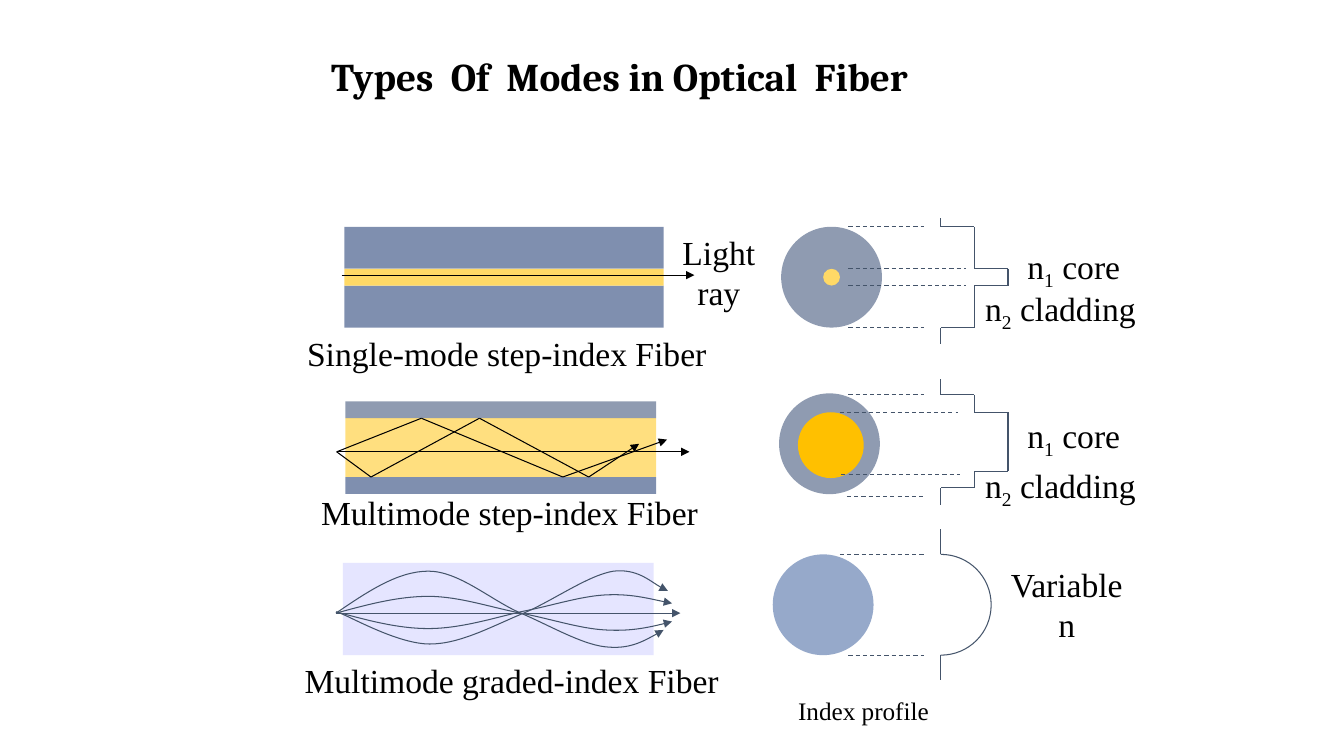
from itertools import pairwise

from lxml import etree
from pptx import Presentation
from pptx import util as u
from pptx.dml import color
from pptx.enum import dml, shapes, text
from pptx.oxml import ns

THEME = {
    "ink": "000000", "outline": "44546A", "navy": "002060", "slate": "203864",
    "blue": "2F5597", "gold": "FFC000", "sand": "FFD966", "lilac": "CCCCFF",
    "title_font": "Cambria", "body_font": "Times New Roman",
    "title": 28, "body": 24, "caption": 18, "stroke": 0.75,
}

presentation = Presentation()
presentation.slide_width, presentation.slide_height = u.Pt(960), u.Pt(540)
slide = presentation.slides.add_slide(presentation.slide_layouts[6])


def style_line(shape, ink, arrow=False, dashed=False):
    shape.line.color.rgb = color.RGBColor.from_string(THEME[ink])
    shape.line.width = u.Pt(THEME["stroke"])
    if dashed:
        shape.line.dash_style = dml.MSO_LINE.DASH
    if arrow:
        outline = shape._element.spPr.find(ns.qn("a:ln"))
        etree.SubElement(outline, ns.qn("a:tailEnd"), type="triangle")


def connect(start, end, ink, arrow=False, dashed=False):
    ends = [u.Pt(value) for value in (*start, *end)]
    connector = slide.shapes.add_connector(shapes.MSO_CONNECTOR.STRAIGHT, *ends)
    style_line(connector, ink, arrow, dashed)
    etree.SubElement(connector._element.spPr, ns.qn("a:effectLst"))


RECTANGLE, OVAL = shapes.MSO_SHAPE.RECTANGLE, shapes.MSO_SHAPE.OVAL
fiber_parts = [
    (RECTANGLE, 246, 162, 228, 30, "navy", 50),
    (RECTANGLE, 246, 204, 228, 30, "navy", 50),
    (RECTANGLE, 246, 192, 228, 12, "sand", 100),
    (RECTANGLE, 246.75, 298.75, 222, 42, "gold", 50),
    (RECTANGLE, 246.75, 340.75, 222, 12, "navy", 50),
    (RECTANGLE, 246.75, 286.75, 222, 12, "slate", 50),
    (RECTANGLE, 245, 402, 222, 66, "lilac", 50),
    (OVAL, 558, 162, 72, 72, "slate", 50),
    (OVAL, 588, 192, 12, 12, "sand", 100),
    (OVAL, 556.5, 281, 72, 72, "slate", 50),
    (OVAL, 570, 294.5, 47, 47, "gold", 100),
    (OVAL, 552, 396, 72, 72, "blue", 50),
]
for kind, left, top, width, height, fill, opacity in fiber_parts:
    shape = slide.shapes.add_shape(kind, u.Pt(left), u.Pt(top), u.Pt(width), u.Pt(height))
    shape.shadow.inherit = False
    shape.line.fill.background()
    shape.fill.solid()
    shape.fill.fore_color.rgb = color.RGBColor.from_string(THEME[fill])
    if opacity < 100:
        tint = shape._element.spPr.find(".//" + ns.qn("a:srgbClr"))
        etree.SubElement(tint, ns.qn("a:alpha"), val=str(opacity * 1000))

light_rays = [
    ("ink", [(244, 196.5), (496, 196.5)]),
    ("ink", [(240.5, 322.75), (492.5, 322.75)]),
    ("ink", [(240.5, 322.75), (301, 298.75), (402, 340.75), (476.5, 314)]),
    ("ink", [(240.5, 322.75), (265, 340.75), (342.5, 298.75), (420.5, 340.75), (456.5, 317)]),
    ("outline", [(240, 438), (486, 438)]),
]
for ink, points in light_rays:
    for start, end in pairwise(points):
        connect(start, end, ink, arrow=end == points[-1])

AXIS, CLADDING, CORE = 672, 696, 720
step_profiles = [
    (156, 162, 192, 204, 234, 246),
    (271, 282, 294.5, 336.5, 348.5, 361),
]
for start, outer_top, inner_top, inner_bottom, outer_bottom, end in step_profiles:
    points = [
        (AXIS, start), (AXIS, outer_top), (CLADDING, outer_top), (CLADDING, inner_top),
        (CORE, inner_top), (CORE, inner_bottom), (CLADDING, inner_bottom),
        (CLADDING, outer_bottom), (AXIS, outer_bottom), (AXIS, end),
    ]
    for corner, following in pairwise(points):
        connect(corner, following, "outline")
for top in (378, 468):
    connect((AXIS, top), (AXIS, top + 18), "outline")

guides = [
    (606, 660, 162), (606, 660, 234), (606, 690, 192), (606, 690, 204),
    (606, 660, 281.5), (605, 660, 354.5), (600, 684, 294.5), (601, 685.5, 339),
    (600, 660, 396), (606, 660, 468),
]
for left, right, level in guides:
    connect((left, level), (right, level), "outline", dashed=True)

curves = [
    (True, [(240, 438), (262, 432), (284, 426), (306, 426), (328, 426), (351, 434), (372, 438),
            (393, 442), (414, 449), (432, 450), (450, 451), (465, 448), (480, 444)]),
    (True, [(240, 437), (262, 443), (284, 449), (306, 449), (328, 449), (351, 442), (372, 437),
            (393, 433), (414, 426), (432, 425), (450, 424), (465, 428), (480, 431)]),
    (True, [(240, 438), (262, 423), (284, 408), (306, 408), (328, 408), (351, 429), (372, 438),
            (393, 447), (415, 460), (432, 462), (449, 464), (462, 457), (474, 450)]),
    (True, [(243, 438), (253, 442), (285, 460), (307, 460), (329, 460), (352, 447), (374, 438),
            (395, 429), (420, 411), (438, 408), (455, 406), (469, 419), (477, 422)]),
    (False, [(672, 396), (692, 396), (708, 412), (708, 432), (708, 452), (692, 468), (672, 468)]),
]
for arrow, points in curves:
    builder = slide.shapes.build_freeform(*points[0], scale=u.Pt(1))
    builder.add_line_segments(points[1:], close=False)
    shape = builder.convert_to_shape()
    shape.shadow.inherit = False
    shape.fill.background()
    style_line(shape, "outline", arrow)
    segments = list(shape._element.iter(ns.qn("a:lnTo")))
    outline_path = segments[0].getparent()
    for first in range(0, len(segments), 3):
        bezier = etree.SubElement(outline_path, ns.qn("a:cubicBezTo"))
        for segment in segments[first:first + 3]:
            bezier.append(segment[0])
            outline_path.remove(segment)

CENTER, LEFT = text.PP_ALIGN.CENTER, text.PP_ALIGN.LEFT
MIDDLE, TOP = text.MSO_ANCHOR.MIDDLE, text.MSO_ANCHOR.TOP
core, cladding = [["n", "1", " core"]], [["n", "2", " cladding"]]
labels = [
    (229.5, 30, 730, 52.5, [["Types  Of  Modes in Optical  Fiber"]], "title", LEFT, MIDDLE),
    (726, 174, 82, 36, core, "body", CENTER, MIDDLE),
    (696, 204, 123, 36, cladding, "body", CENTER, MIDDLE),
    (726, 294.5, 82, 36, core, "body", CENTER, MIDDLE),
    (696, 330.5, 123, 36, cladding, "body", CENTER, MIDDLE),
    (702, 399, 120, 65, [["Variable"], ["n"]], "body", CENTER, MIDDLE),
    (563, 493, 110, 29, [["Index profile"]], "caption", LEFT, TOP),
    (207, 234, 310, 36, [["Single-mode step-index Fiber"]], "body", CENTER, MIDDLE),
    (217, 348, 294, 36, [["Multimode step-index Fiber"]], "body", CENTER, MIDDLE),
    (205.5, 468, 320, 36, [["Multimode graded-index Fiber"]], "body", CENTER, MIDDLE),
    (478.5, 161.5, 70, 65.5, [["Light"], ["ray"]], "body", CENTER, MIDDLE),
]
for left, top, width, height, lines, role, alignment, anchor in labels:
    is_title = role == "title"
    box = slide.shapes.add_textbox(u.Pt(left), u.Pt(top), u.Pt(width), u.Pt(height))
    frame = box.text_frame
    frame.word_wrap = is_title
    frame.vertical_anchor = anchor
    font_format = {
        "name": THEME["title_font" if is_title else "body_font"],
        "size": u.Pt(THEME[role]),
        "bold": is_title,
    }
    for index, pieces in enumerate(lines):
        paragraph = frame.add_paragraph() if index else frame.paragraphs[0]
        paragraph.alignment = alignment
        paragraph.line_spacing = 0.9 if is_title else 1.0
        for position, piece in enumerate(pieces):
            run = paragraph.add_run()
            run.text = piece
            for name, value in font_format.items():
                setattr(run.font, name, value)
            run.font.color.rgb = color.RGBColor.from_string(THEME["ink"])
            if position == 1:
                run._r.get_or_add_rPr().set("baseline", "-25000")

presentation.save("out.pptx")
